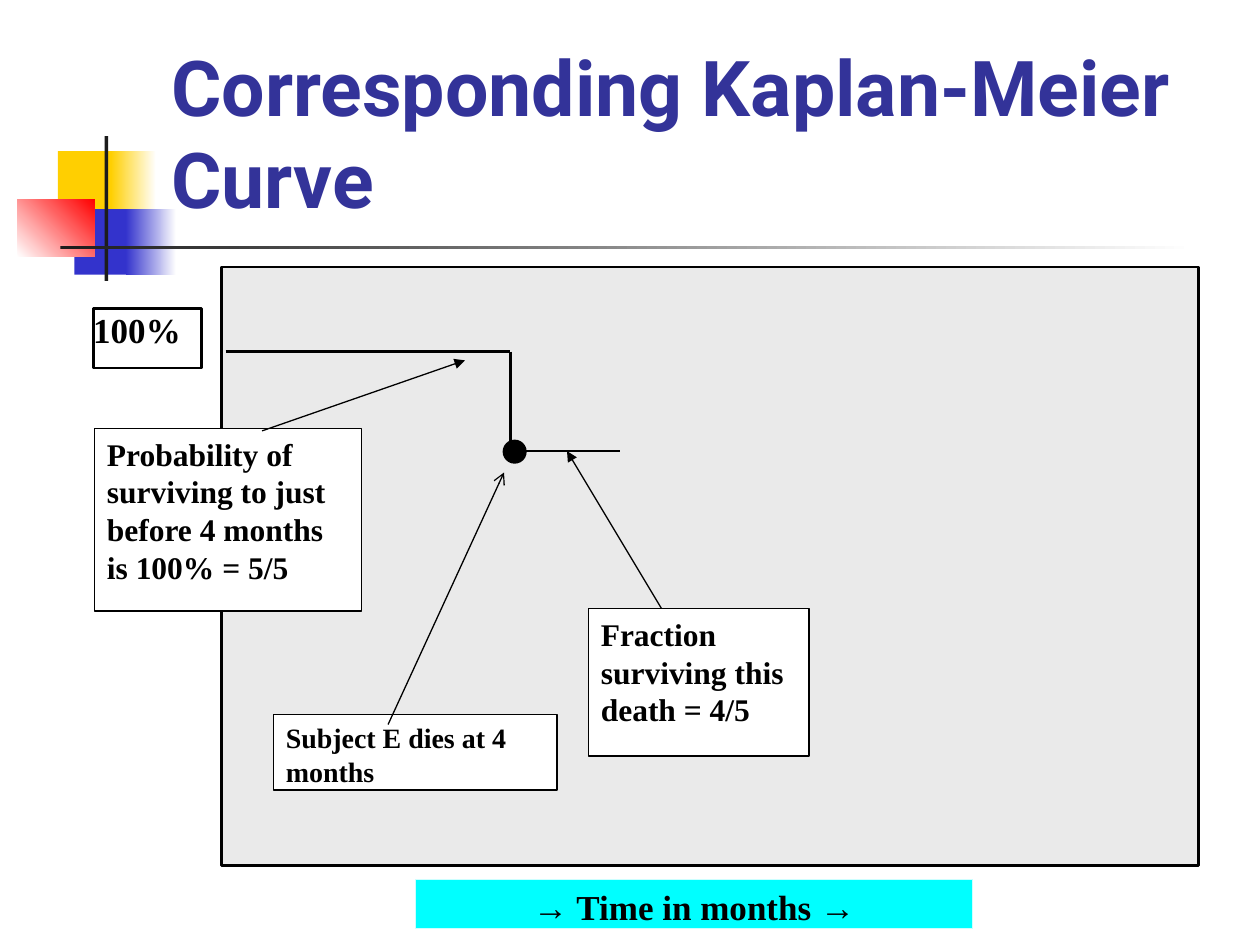
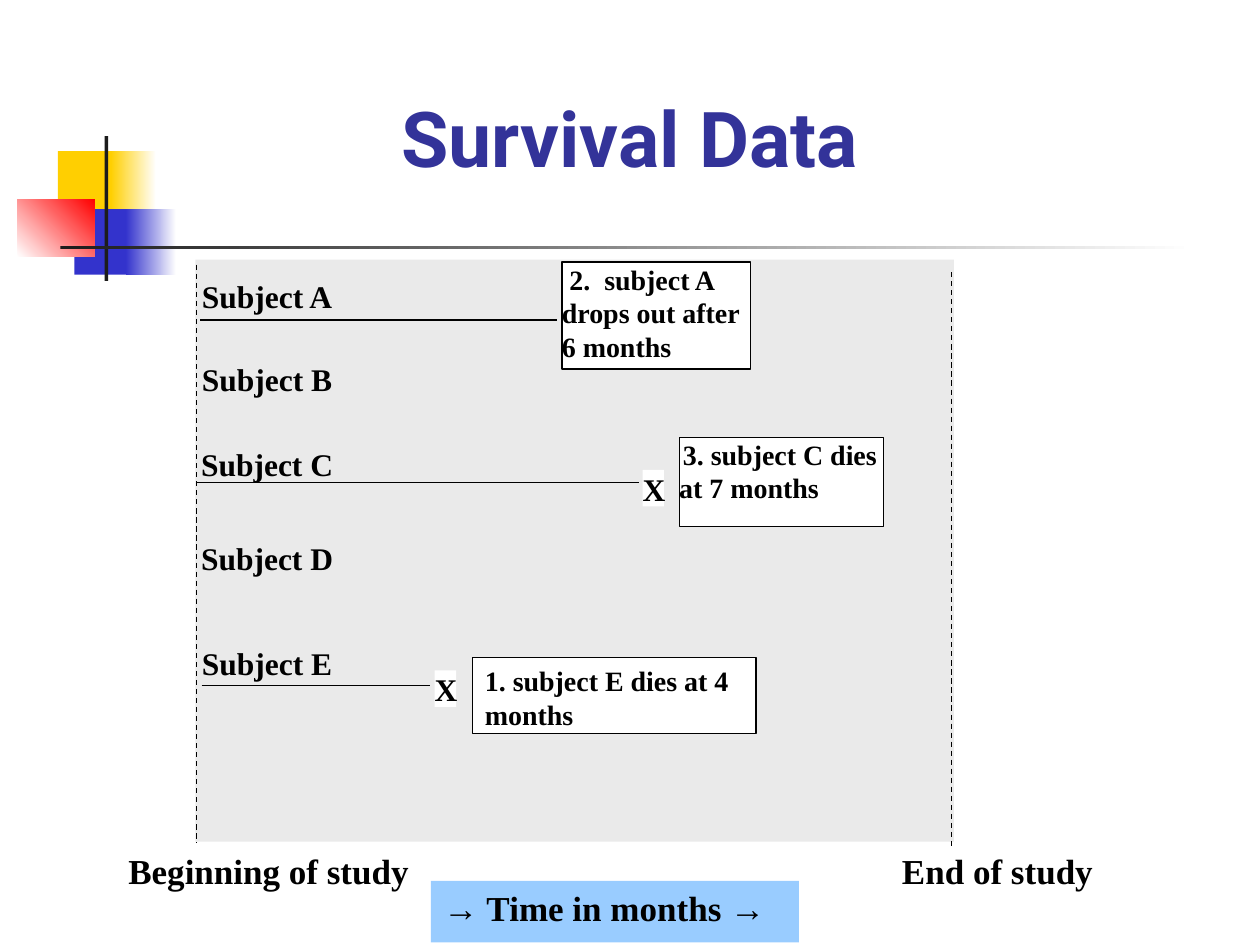
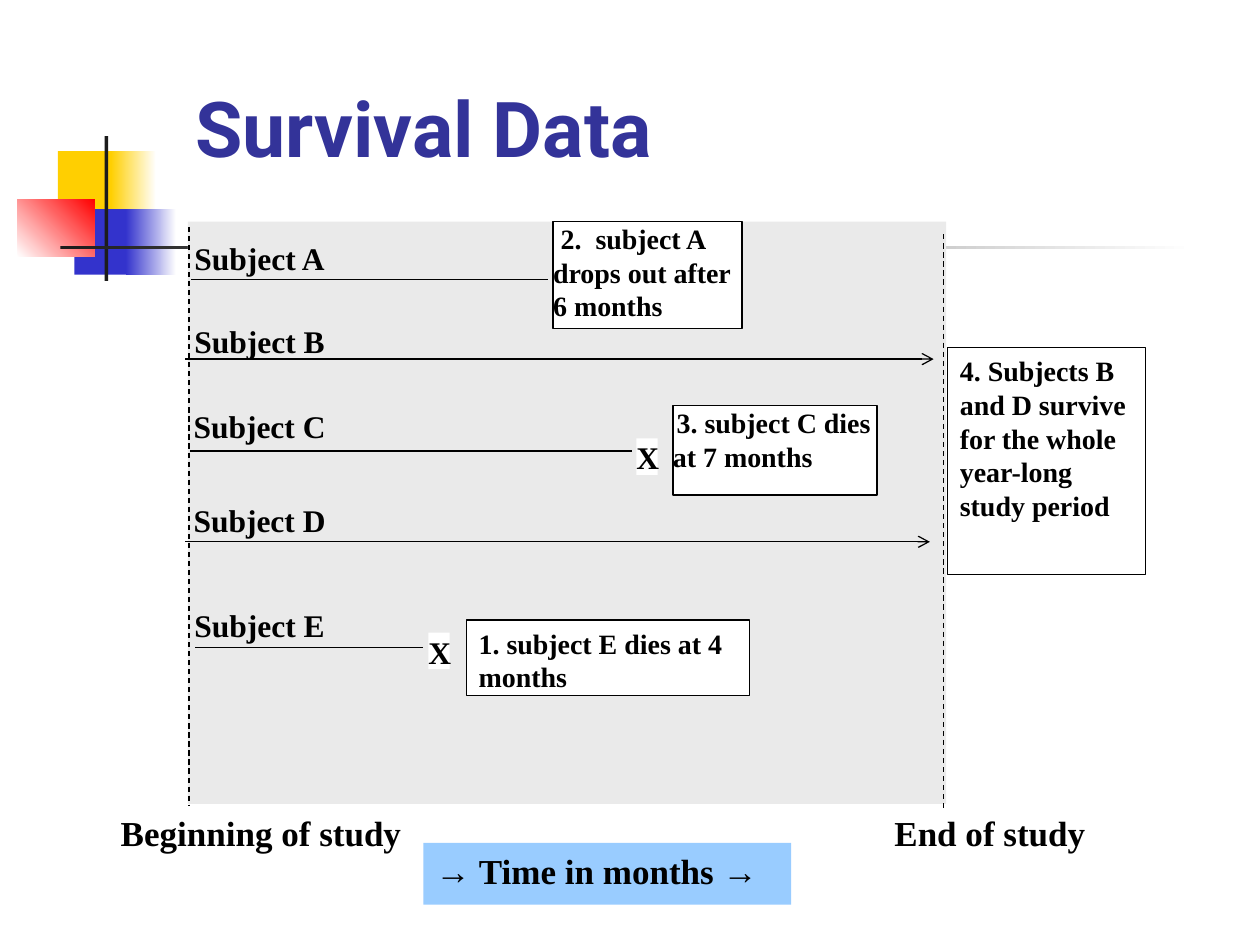
from lxml.etree import SubElement
from pptx import Presentation
from pptx.dml.color import RGBColor
from pptx.enum.dml import MSO_LINE
from pptx.enum.shapes import MSO_CONNECTOR, MSO_SHAPE
from pptx.enum.text import MSO_ANCHOR, MSO_AUTO_SIZE, PP_ALIGN
from pptx.oxml.ns import qn
from pptx.util import Inches, Pt

HUES = {
    "ink": "000000", "paper": "FFFFFF", "panel": "EAEAEA", "title": "333399",
    "gold": "FFCF01", "blue": "3333CC", "red": "FF0000", "bar": "1C1C1C",
    "aqua": "00FFFF", "mist": "CCFFFF", "sky": "99CCFF",
}
PAD = (0.1, 0.05, 0.1, 0.05)
FLAT = (0, 0, 0, 0)
SNUG = (0.1, 0.05, 0.1, 0)
SIDES = ("margin_left", "margin_top", "margin_right", "margin_bottom")
TIME = "→ Time in months →"


def hue(name):
    return RGBColor.from_string(HUES[name])


def assign(item, values):
    for key, value in values.items():
        setattr(item, key, value)


class Deck:
    def __init__(self):
        self.show = Presentation()
        assign(self.show, {"slide_width": Inches(10), "slide_height": Inches(7.5)})
        self.layout = self.show.slide_layouts[5]
        self.slide = None

    def page(self, title, at, align=PP_ALIGN.LEFT):
        first = self.slide is None
        self.slide = self.show.slides.add_slide(self.layout)
        if first:
            self.motif()
        head = self.slide.shapes.title
        self.place(head, at)
        self.letter(head, title, 44, "Roboto", "title", align=align, anchor=MSO_ANCHOR.BOTTOM)

    def motif(self):
        parts = [
            ((0.46, 1.2, 0.48, 0.52), "gold", None, 0),
            ((0.88, 1.2, 0.36, 0.52), "gold", "paper", 0),
            ((0.59, 1.66, 0.46, 0.52), "blue", None, 0),
            ((1, 1.66, 0.4, 0.52), "blue", "paper", 0),
            ((0.14, 1.58, 0.61, 0.46), "paper", "red", 45),
            ((0.83, 1.08, 0.03, 1.15), "bar", None, 0),
            ((0.48, 1.95, 9, 0.03), "bar", "paper", 0),
        ]
        for mark, (at, start, end, angle) in enumerate(parts, 20):
            part = self.shape(at, start)
            if end:
                part.fill.gradient()
                part.fill.gradient_angle = angle
                for stop, name in zip(part.fill.gradient_stops, (start, end)):
                    stop.color.rgb = hue(name)
            part.element.nvSpPr.cNvPr.set("id", str(mark))
            self.layout.shapes.element.append(part.element)

    def place(self, item, at):
        assign(item, dict(zip(("left", "top", "width", "height"), map(Inches, at))))

    def letter(self, item, text, size, font="Times New Roman", color="ink", pad=PAD,
               align=PP_ALIGN.LEFT, anchor=MSO_ANCHOR.TOP, indent=0):
        frame = item.text_frame
        assign(frame, {"text": text, "word_wrap": True, "auto_size": MSO_AUTO_SIZE.NONE,
                       "vertical_anchor": anchor})
        assign(frame, dict(zip(SIDES, map(Inches, pad))))
        line = frame.paragraphs[0]
        line.alignment = align
        if indent:
            line._p.get_or_add_pPr().set("indent", str(Inches(indent)))
        face = line.runs[0].font
        assign(face, {"name": font, "size": Pt(size), "bold": True})
        face.color.rgb = hue(color)

    def shape(self, at, fill, line=None, width=0.75, kind=MSO_SHAPE.RECTANGLE):
        item = self.slide.shapes.add_shape(kind, *map(Inches, at))
        item.shadow.inherit = False
        item.fill.solid()
        item.fill.fore_color.rgb = hue(fill)
        if line:
            item.line.color.rgb = hue(line)
            item.line.width = Pt(width)
        else:
            item.line.fill.background()
        return item

    def box(self, at, text, size, fill="paper", line="ink", width=0.75, **style):
        self.letter(self.shape(at, fill, line, width), text, size, **style)

    def label(self, at, text, size, **style):
        self.letter(self.slide.shapes.add_textbox(*map(Inches, at)), text, size, **style)

    def line(self, start, end, width=0.75, dash=None, tip=None):
        item = self.slide.shapes.add_connector(
            MSO_CONNECTOR.STRAIGHT, *map(Inches, (*start, *end)))
        item.line.color.rgb = hue("ink")
        assign(item.line, {"width": Pt(width), "dash_style": dash})
        props = item.element.spPr
        if tip:
            SubElement(props.find(qn("a:ln")), qn("a:tailEnd"), type=tip)
        SubElement(props, qn("a:effectLst"))

    def study(self, x, y):
        self.shape((x, y, 6.02, 4.62), "panel")
        self.line((x + 6, y + 0.1), (x + 6, y + 4.67), dash=MSO_LINE.DASH)
        self.line((x + 0.01, y + 0.04), (x + 0.01, y + 4.63), dash=MSO_LINE.DASH)
        for left, text in ((-0.63, "Beginning of study"), (5.51, "End of study")):
            self.label((x + left, y + 4.63, 3.52, 0.74), text, 20)
        self.box((x + 1.87, y + 4.93, 2.92, 0.49), TIME, 20, "sky", None)
        for name, down in zip("ABCDE", (0.09, 0.75, 1.42, 2.17, 3)):
            self.label((x - 0.72, y + down, 2.58, 0.35), f"Subject {name}", 18,
                       pad=SNUG, align=PP_ALIGN.CENTER)

    def event(self, x, y, length, note, text, cross=None, **style):
        self.line((x, y), (x + length, y))
        left, top, wide, high = note
        self.box((x + left, y + top, wide, high), text, 16, **style)
        if cross:
            self.box((x + cross[0], y + cross[1], 0.17, 0.29), "X", 18, line=None, pad=FLAT)

    def events(self, a, c, e):
        self.event(*a, 2.83, (2.87, -0.46, 1.5, 0.85),
                   "2.  subject A drops out after 6 months", pad=FLAT, indent=0.06)
        self.event(*e, 1.81, (2.15, -0.22, 2.25, 0.6),
                   "1. subject E dies at 4 months", (1.85, -0.12))
        self.event(*c, 3.51, (3.83, -0.36, 1.62, 0.71),
                   "3. subject C dies at 7 months", (3.54, -0.1), pad=FLAT, indent=0.03)


deck = Deck()

deck.page("Corresponding Kaplan-Meier Curve", (1.26, 0.23, 8.52, 1.6))
deck.shape((1.76, 2.12, 7.75, 4.75), "panel", "ink", 1.5)
deck.box((0.74, 2.45, 0.86, 0.47), "100%", 20, width=1.5, pad=FLAT)
deck.box((3.3, 6.98, 4.42, 0.39), TIME, 20, "aqua", "mist", pad=SNUG, align=PP_ALIGN.CENTER)
deck.line((1.79, 2.79), (4.05, 2.79), 1.5)
deck.box((0.75, 3.4, 2.12, 1.45),
         "Probability of surviving to just before 4 months is 100% = 5/5", 18)
deck.line((2.08, 3.42), (3.69, 2.86), tip="triangle")
deck.line((4.05, 2.79), (4.05, 3.5), 1.5)
deck.shape((4, 3.5, 0.17, 0.17), "ink", "ink", 1.5, MSO_SHAPE.OVAL)
deck.box((4.67, 4.83, 1.75, 1.17), "Fraction surviving this death = 4/5", 18)
deck.line((5.25, 4.83), (4.5, 3.58), tip="triangle")
deck.line((4.08, 3.58), (4.92, 3.58))
deck.box((2.17, 5.67, 2.25, 0.6), "Subject E dies at 4 months", 16)
deck.line((3.08, 5.75), (4, 3.75), tip="arrow")

deck.page("Survival Data", (0.75, 0.25, 8.5, 1.25), PP_ALIGN.CENTER)
deck.study(1.55, 2.06)
deck.events((1.59, 2.54), (1.56, 3.83), (1.6, 5.44))

deck.page("Survival Data", (1.45, 0.17, 8.5, 1.25))
deck.study(1.49, 1.76)
deck.events((1.52, 2.22), (1.51, 3.58), (1.55, 5.14))
deck.box((7.52, 2.76, 1.57, 1.8),
         "4. Subjects B and D survive for the whole year-long study period", 16)
for end, y in ((7.41, 2.85), (7.38, 4.3)):
    deck.line((1.47, y), (end, y), tip="arrow")

deck.show.save("out.pptx")
